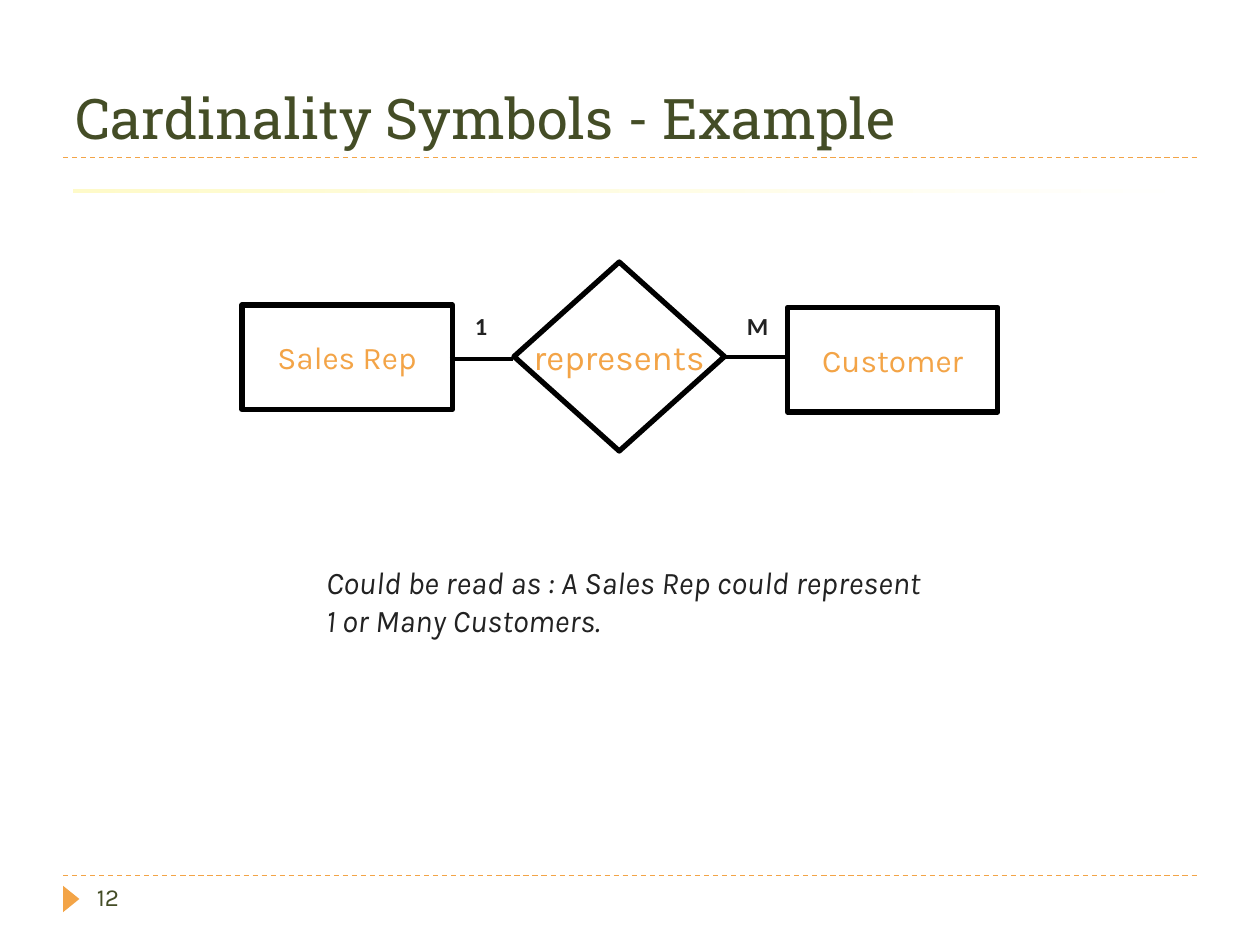
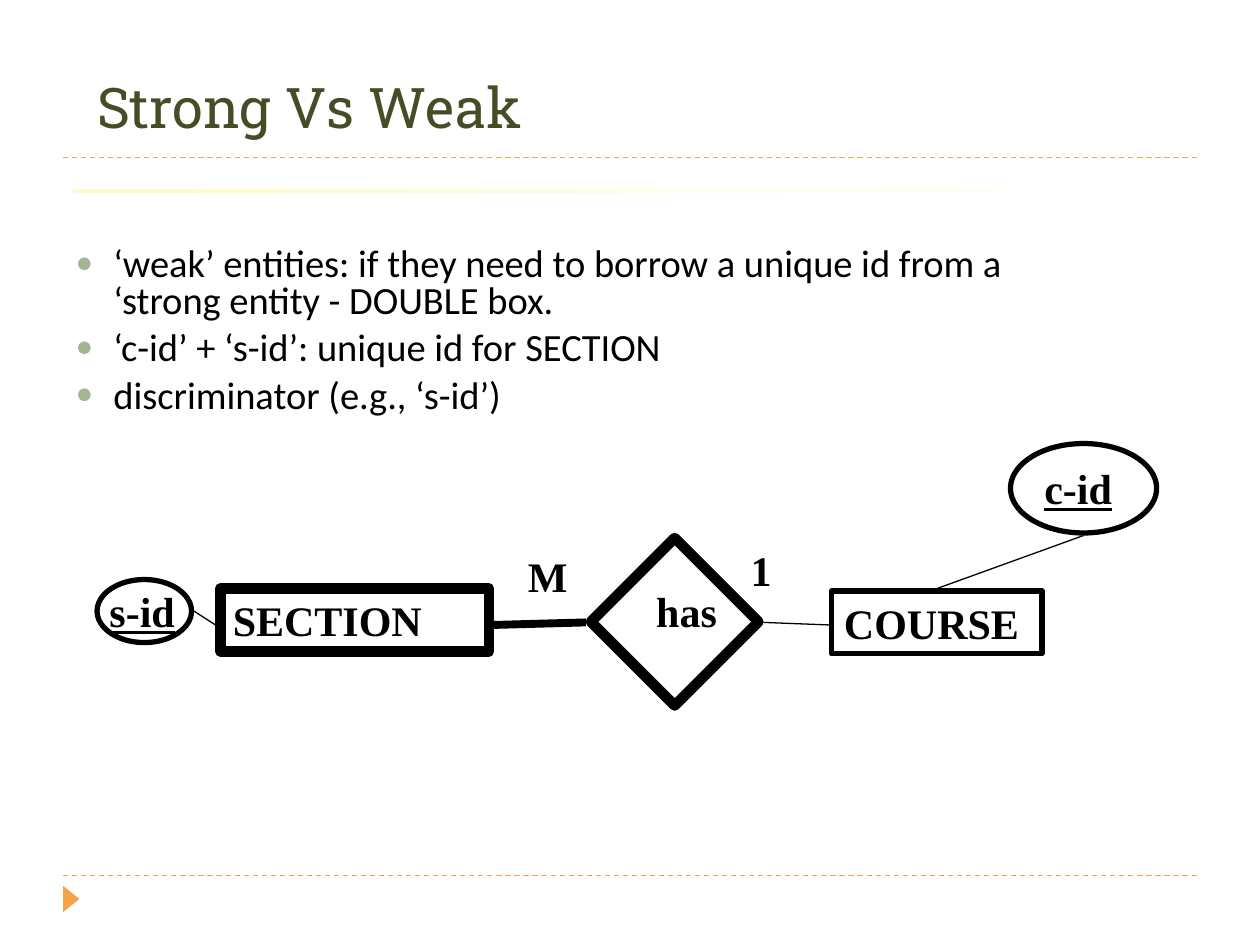
from dataclasses import dataclass

from lxml.etree import SubElement
from pptx import Presentation
from pptx.dml.color import RGBColor
from pptx.enum.dml import MSO_LINE
from pptx.enum.shapes import MSO_CONNECTOR, MSO_SHAPE as Shape
from pptx.enum.text import MSO_ANCHOR as Anchor, MSO_AUTO_SIZE, PP_ALIGN as Align
from pptx.oxml.ns import qn
from pptx.util import Pt

SCALE = 9144  # EMU per px, 100 px to the inch


@dataclass(frozen=True)
class TextStyle:
    font: str
    size: int
    color: str
    bold: bool = False
    italic: bool = False
    underline: bool = False


@dataclass(frozen=True)
class Theme:
    accent: str = "F3A447"
    ink: str = "000000"
    bullet: str = "A5B592"
    band: tuple = ("FEFAC9", "FFFFFF")
    hairline: float = 0.75
    title: TextStyle = TextStyle("Roboto Slab", 32, "444D26")
    number: TextStyle = TextStyle("Karla", 14, "444D26")
    entity: TextStyle = TextStyle("Karla", 18, "F3A447")
    relation: TextStyle = TextStyle("Karla", 20, "F3A447")
    caption: TextStyle = TextStyle("Karla", 18, "222222", italic=True)
    cardinality: TextStyle = TextStyle("Calibri", 14, "222222", bold=True)
    body: TextStyle = TextStyle("Calibri", 22, "000000")
    serif: TextStyle = TextStyle("Times New Roman", 24, "000000", bold=True)
    key: TextStyle = TextStyle("Times New Roman", 24, "000000", bold=True, underline=True)


THEME = Theme()


@dataclass(frozen=True)
class Box:
    left: int
    top: int
    width: int
    height: int

    def inside(self, left, top, width, height):
        """Return a box whose position is counted from this box's corner."""
        return Box(self.left + left, self.top + top, width, height)

    def emu(self):
        return [px * SCALE for px in (self.left, self.top, self.width, self.height)]


def rgb(color):
    return RGBColor.from_string(color)


def write(shape, text, style, align=Align.LEFT, anchor=Anchor.TOP, wrap=False):
    frame = shape.text_frame
    frame.text = text
    frame.auto_size = MSO_AUTO_SIZE.NONE
    frame.word_wrap = wrap
    frame.vertical_anchor = anchor
    for para in frame.paragraphs:
        para.alignment = align
        for span in para.runs:
            font = span.font
            font.name, font.size = style.font, Pt(style.size)
            font.color.rgb = rgb(style.color)
            font.bold, font.italic, font.underline = style.bold, style.italic, style.underline


def place(shape, box):
    shape.left, shape.top, shape.width, shape.height = box.emu()


def add_title(page, text, box):
    place(page.shapes.title, box)
    write(page.shapes.title, text, THEME.title, anchor=Anchor.BOTTOM, wrap=True)


def add_label(page, box, text, style):
    write(page.shapes.add_textbox(*box.emu()), text, style)


def add_outline(page, kind, box, weight):
    shape = page.shapes.add_shape(kind, *box.emu())
    shape.shadow.inherit = False
    shape.fill.background()
    shape.line.color.rgb = rgb(THEME.ink)
    shape.line.width = Pt(weight)
    return shape


def add_line(page, box, start, end, weight, color=THEME.ink):
    """Draw a line between two points counted from the box's corner."""
    ends = [(corner + px) * SCALE for point in (start, end)
            for corner, px in zip((box.left, box.top), point)]
    line = page.shapes.add_connector(MSO_CONNECTOR.STRAIGHT, *ends)
    line.line.color.rgb = rgb(color)
    line.line.width = Pt(weight)
    SubElement(line._element.spPr, qn("a:effectLst"))
    return line


def add_frame(page, box):
    """Add the dashed rules, the pale band and the footer marker."""
    for top in (695, 125):
        rule = add_line(page, box, (50, top), (box.width - 50, top),
                        THEME.hairline, THEME.accent)
        rule.line.dash_style = MSO_LINE.DASH

    marker = page.shapes.add_shape(Shape.ISOSCELES_TRIANGLE, *box.inside(46, 707, 21, 13).emu())
    marker.rotation = 90
    marker.fill.solid()
    marker.fill.fore_color.rgb = rgb(THEME.accent)

    band = page.shapes.add_shape(Shape.RECTANGLE, *box.inside(58, 150, 900, 3).emu())
    band.fill.gradient()
    band.fill.gradient_angle = 0
    for stop, color, position in zip(band.fill.gradient_stops, THEME.band, (0, 1)):
        stop.color.rgb = rgb(color)
        stop.position = position

    for shape in (marker, band):
        shape.shadow.inherit = False
        shape.line.fill.background()


def add_bullets(page, box, items):
    body = page.placeholders[1]
    place(body, box)
    write(body, "\n".join(items), THEME.body, wrap=True)
    for index, para in enumerate(body.text_frame.paragraphs):
        para.line_spacing = 0.8
        para.space_before = Pt(5.8 if index else 0)
        props = para._p.get_or_add_pPr()
        props.set("marL", str(30 * SCALE))
        props.set("indent", str(-30 * SCALE))
        bullet_color = SubElement(props, qn("a:buClr"))
        SubElement(bullet_color, qn("a:srgbClr"), val=THEME.bullet)
        SubElement(props, qn("a:buSzPct"), val="76000")
        SubElement(props, qn("a:buChar"), char="●")


def add_sales_diagram(page, box):
    for kind, area, text, style in (
        (Shape.DIAMOND, (216, 0, 167, 150), "represents", THEME.relation),
        (Shape.RECTANGLE, (433, 36, 167, 83), "Customer", THEME.entity),
        (Shape.RECTANGLE, (0, 34, 167, 83), "Sales Rep", THEME.entity),
    ):
        node = add_outline(page, kind, box.inside(*area), 3)
        write(node, text, style, Align.CENTER, Anchor.MIDDLE)
    for left, top in ((165, 77), (383, 75)):
        add_line(page, box, (left, top), (left + 50, top), 2.25)
    add_label(page, box.inside(175, 34, 31, 34), "1", THEME.cardinality)
    add_label(page, box.inside(391, 34, 38, 34), "M", THEME.cardinality)


def add_course_diagram(page, box):
    for kind, area, weight, text, style in (
        (Shape.RECTANGLE, (583, 117, 167, 50), 3, "COURSE", THEME.serif),
        (Shape.OVAL, (725, 0, 116, 71), 3, "c-id", THEME.key),
        (Shape.RECTANGLE, (98, 115, 213, 50), 6, "SECTION", THEME.serif),
    ):
        write(add_outline(page, kind, box.inside(*area), weight), text, style, wrap=True)
    section_key = box.inside(0, 108, 75, 50)
    add_outline(page, Shape.OVAL, section_key, 3)
    add_outline(page, Shape.DIAMOND, box.inside(392, 75, 133, 133), 6)
    for start, end, weight in (
        ((783, 73), (667, 115), THEME.hairline),
        ((77, 133), (94, 144), THEME.hairline),
        ((315, 144), (388, 142), 4.5),
        ((529, 142), (581, 144), THEME.hairline),
    ):
        add_line(page, box, start, end, weight)
    add_label(page, section_key, "s-id", THEME.key)
    for area, text in (
        ((434, 108, 68, 50), "has"),
        ((332, 80, 51, 50), "M"),
        ((509, 75, 36, 50), "1"),
    ):
        add_label(page, box.inside(*area), text, THEME.serif)


def cardinality_slide(deck, box):
    page = deck.slides.add_slide(deck.slide_layouts.get_by_name("Title Only"))
    add_frame(page, box)
    add_title(page, "Cardinality Symbols - Example", box.inside(50, 17, 900, 108))
    add_label(page, box.inside(67, 695, 217, 40), "12", THEME.number)
    add_sales_diagram(page, box.inside(192, 208, 600, 150))
    add_label(page, box.inside(249, 442, 530, 70),
              "Could be read as : A Sales Rep could represent\n1 or Many Customers.",
              THEME.caption)


def strong_weak_slide(deck, box):
    page = deck.slides.add_slide(deck.slide_layouts.get_by_name("Title and Content"))
    add_frame(page, box)
    add_title(page, "Strong Vs Weak", box.inside(67, 33, 852, 83))
    add_bullets(page, box.inside(50, 192, 842, 150), (
        "‘weak’ entities: if they need to borrow a unique id from a "
        "‘strong entity - DOUBLE box.",
        "‘c-id’ + ‘s-id’: unique id for SECTION",
        "discriminator (e.g., ‘s-id’)",
    ))
    add_course_diagram(page, box.inside(77, 352, 841, 208))


def main():
    deck = Presentation()
    canvas = Box(0, 0, 1000, 750)
    deck.slide_width, deck.slide_height = canvas.emu()[2:]
    cardinality_slide(deck, canvas)
    strong_weak_slide(deck, canvas)
    deck.save("out.pptx")


if __name__ == "__main__":
    main()
